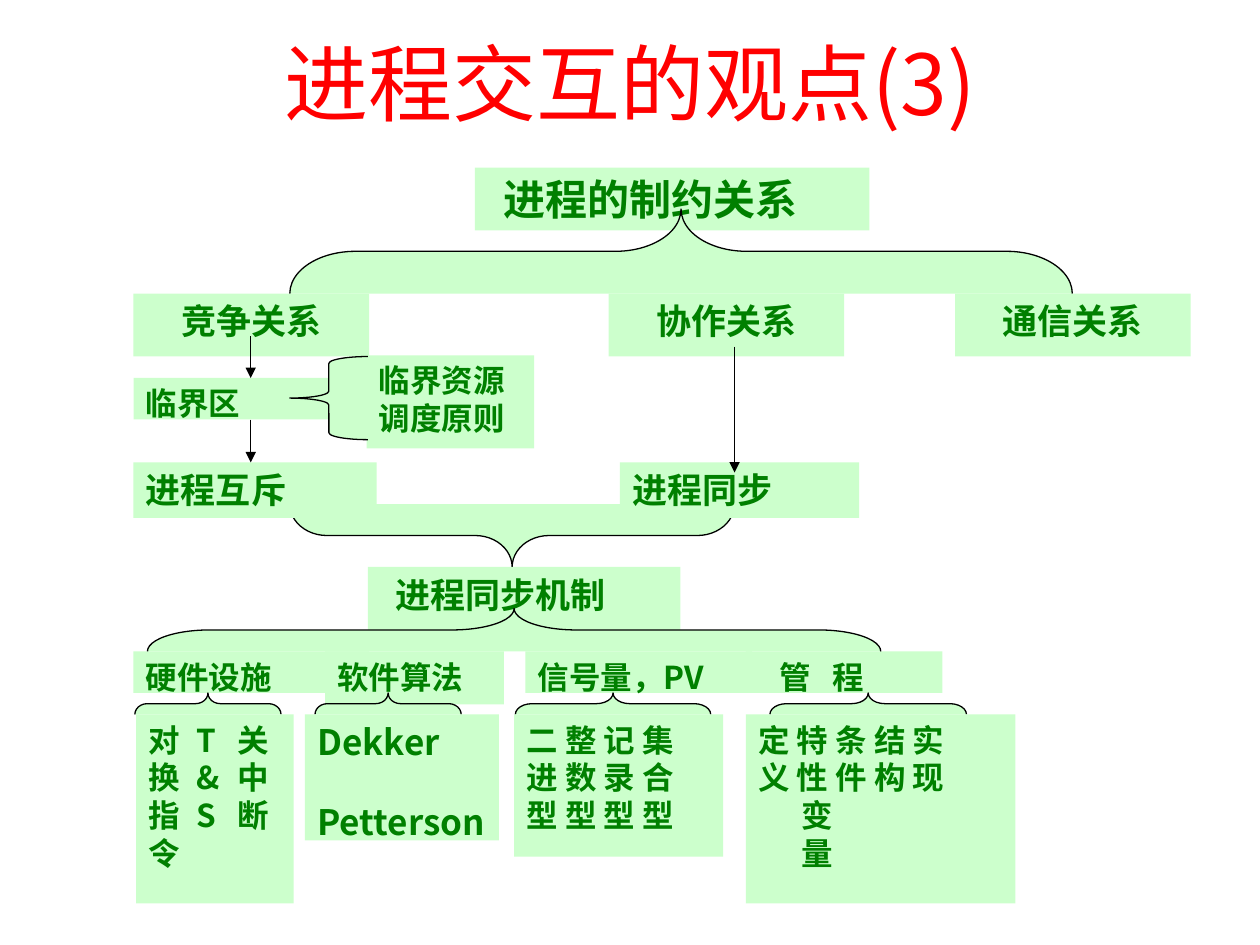
from typing import NamedTuple

from lxml import etree
from pptx import Presentation
from pptx.dml.color import RGBColor
from pptx.enum.shapes import MSO_CONNECTOR, MSO_SHAPE
from pptx.enum.text import MSO_ANCHOR, PP_ALIGN
from pptx.oxml.ns import qn
from pptx.util import Inches, Pt

RECTANGLE, BRACE = MSO_SHAPE.RECTANGLE, MSO_SHAPE.LEFT_BRACE
STRAIGHT = MSO_CONNECTOR.STRAIGHT
LEFT, CENTER = PP_ALIGN.LEFT, PP_ALIGN.CENTER
TOP, MIDDLE = MSO_ANCHOR.TOP, MSO_ANCHOR.MIDDLE

FONT = "Noto Sans CJK SC"
PALE_GREEN, GREEN, RED, BLACK = "CCFFCC", "008000", "FF0000", "000000"
TIP_LEFT, TIP_UP, TIP_DOWN = 0, 90, 270
LINE_HEIGHT = 1.2


class Box(NamedTuple):
    lines: list[str]
    left: float
    top: float
    width: float
    height: float
    size: int = 18
    align: PP_ALIGN = LEFT
    tabs: tuple[float, ...] = ()
    gap: float = 0


class Brace(NamedTuple):
    """A brace by the area it covers, with its curve as a share of its depth."""
    left: float
    top: float
    width: float
    height: float
    curve: float
    tip: int = TIP_UP


class Arrow(NamedTuple):
    x: float
    top: float
    bottom: float


RELATIONS = [
    Box(["临界资源", "调度原则"], 2.91, 2.82, 1.33, 0.74),
    Box(["\t进程的制约关系"], 3.77, 1.33, 3.13, 0.5, 24, tabs=(0.13,)),
    *[Box([name], left, 2.33, 1.87, 0.5, 20, CENTER)
      for name, left in (("竞争关系", 1.06), ("协作关系", 4.83), ("通信关系", 7.58))],
]
RELATION_BRACES = [
    Brace(2.3, 1.66, 6.21, 0.67, 0.776),
    Brace(2.3, 4, 3.53, 0.5, 0.589, TIP_DOWN),
]
MECHANISMS = [
    Box(["临界区"], 1.06, 3, 1.55, 0.33),
    Box(["进程互斥"], 1.06, 3.67, 1.93, 0.44, 20),
    Box(["进程同步"], 4.92, 3.67, 1.9, 0.44, 20),
    Box(["\t进程同步机制"], 2.92, 4.5, 2.48, 0.5, 20, tabs=(0.12,)),
    Box(["硬件设施"], 1.06, 5.17, 1.87, 0.33),
    Box(["软件算法"], 2.58, 5.17, 1.42, 0.42),
    Box(["信号量，PV"], 4.17, 5.17, 1.8, 0.33),
    Box(["\t管\t程"], 5.92, 5.17, 1.56, 0.33, tabs=(0.17, 0.59)),
]
MECHANISM_BRACES = [
    Brace(2.3, 2.83, 0.62, 0.66, 0.089, TIP_LEFT),
    Brace(1.17, 4.83, 5.82, 0.34, 1.447),
    Brace(1.07, 5.5, 1.16, 0.17, 0.58),
    Brace(2.5, 5.5, 1.16, 0.17, 0.58),
    Brace(4.09, 5.5, 1.55, 0.17, 0.777),
    Brace(6.11, 5.5, 1.56, 0.17, 0.777),
]
METHODS = [
    Box(["对\tT\t关", "换\t&\t中", "指\tS\t断", "令"],
        1.08, 5.67, 1.25, 1.5, tabs=(0.38, 0.71)),
    Box(["Dekker", "Petterson"], 2.42, 5.67, 1.54, 1, 20, gap=21.6),
    Box(["二 整 记 集", "进 数 录 合", "型 型 型 型"], 4.08, 5.67, 1.66, 1.13),
    Box(["定 特 条 结 实", "义 性 件 构 现", "\t变", "\t量"],
        5.92, 5.67, 2.14, 1.5, tabs=(0.34,)),
]
ARROWS = [Arrow(1.99, 2.67, 3), Arrow(1.99, 3.33, 3.67), Arrow(5.83, 2.75, 3.75)]


def rgb(value: str) -> RGBColor:
    return RGBColor.from_string(value)


def set_tabs(paragraph, positions: tuple[float, ...]) -> None:
    if not positions:
        return
    tab_list = etree.SubElement(paragraph._p.get_or_add_pPr(), qn("a:tabLst"))
    for position in positions:
        etree.SubElement(tab_list, qn("a:tab"), pos=str(Inches(position)), algn="l")


def style_run(run, size: int, colour: str, bold: bool) -> None:
    for attribute, value in {"name": FONT, "size": Pt(size), "bold": bold}.items():
        setattr(run.font, attribute, value)
    run.font.color.rgb = rgb(colour)
    etree.SubElement(run.font._element, qn("a:ea"), typeface=FONT)


def draw_title(slide, text: str) -> None:
    frame = slide.shapes.add_textbox(
        Inches(0.75), Inches(0.21), Inches(8.5), Inches(0.88)).text_frame
    frame.word_wrap = True
    frame.vertical_anchor = MIDDLE
    heading = frame.paragraphs[0]
    heading.alignment = CENTER
    run = heading.add_run()
    run.text = text
    style_run(run, 48, RED, False)


def draw_box(slide, box: Box) -> None:
    shape = slide.shapes.add_shape(
        RECTANGLE, *map(Inches, (box.left, box.top, box.width, box.height)))
    shape.shadow.inherit = False
    shape.fill.solid()
    shape.fill.fore_color.rgb = rgb(PALE_GREEN)
    shape.line.fill.background()
    frame = shape.text_frame
    frame.word_wrap = True
    frame.vertical_anchor = TOP
    for index, line in enumerate(box.lines):
        paragraph = frame.add_paragraph() if index else frame.paragraphs[0]
        paragraph.alignment = box.align
        paragraph.line_spacing = Pt(box.size * LINE_HEIGHT)
        if index and box.gap:
            paragraph.space_before = Pt(box.gap)
        set_tabs(paragraph, box.tabs)
        run = paragraph.add_run()
        run.text = line
        style_run(run, box.size, GREEN, True)


def draw_brace(slide, brace: Brace) -> None:
    width, height = brace.width, brace.height
    if brace.tip != TIP_LEFT:
        width, height = height, width
    left = brace.left + (brace.width - width) / 2
    top = brace.top + (brace.height - height) / 2
    shape = slide.shapes.add_shape(BRACE, *map(Inches, (left, top, width, height)))
    shape.rotation = brace.tip
    shape.adjustments[0] = brace.curve
    shape.shadow.inherit = False
    shape.fill.solid()
    shape.fill.fore_color.rgb = rgb(PALE_GREEN)
    shape.line.color.rgb = rgb(BLACK)
    shape.line.width = Pt(0.75)


def draw_arrow(slide, arrow: Arrow) -> None:
    connector = slide.shapes.add_connector(
        STRAIGHT, *map(Inches, (arrow.x, arrow.top, arrow.x, arrow.bottom)))
    connector.line.color.rgb = rgb(BLACK)
    connector.line.width = Pt(0.75)
    etree.SubElement(connector.line._get_or_add_ln(), qn("a:tailEnd"), type="triangle")
    etree.SubElement(connector._element.spPr, qn("a:effectLst"))


def main() -> None:
    presentation = Presentation()
    presentation.slide_width, presentation.slide_height = Inches(10), Inches(7.5)
    slide = presentation.slides.add_slide(presentation.slide_layouts[6])
    draw_title(slide, "进程交互的观点(3)")
    for draw, items in (
        (draw_box, RELATIONS),
        (draw_brace, RELATION_BRACES),
        (draw_box, MECHANISMS),
        (draw_brace, MECHANISM_BRACES),
        (draw_box, METHODS),
        (draw_arrow, ARROWS),
    ):
        for item in items:
            draw(slide, item)
    presentation.save("out.pptx")


if __name__ == "__main__":
    main()
